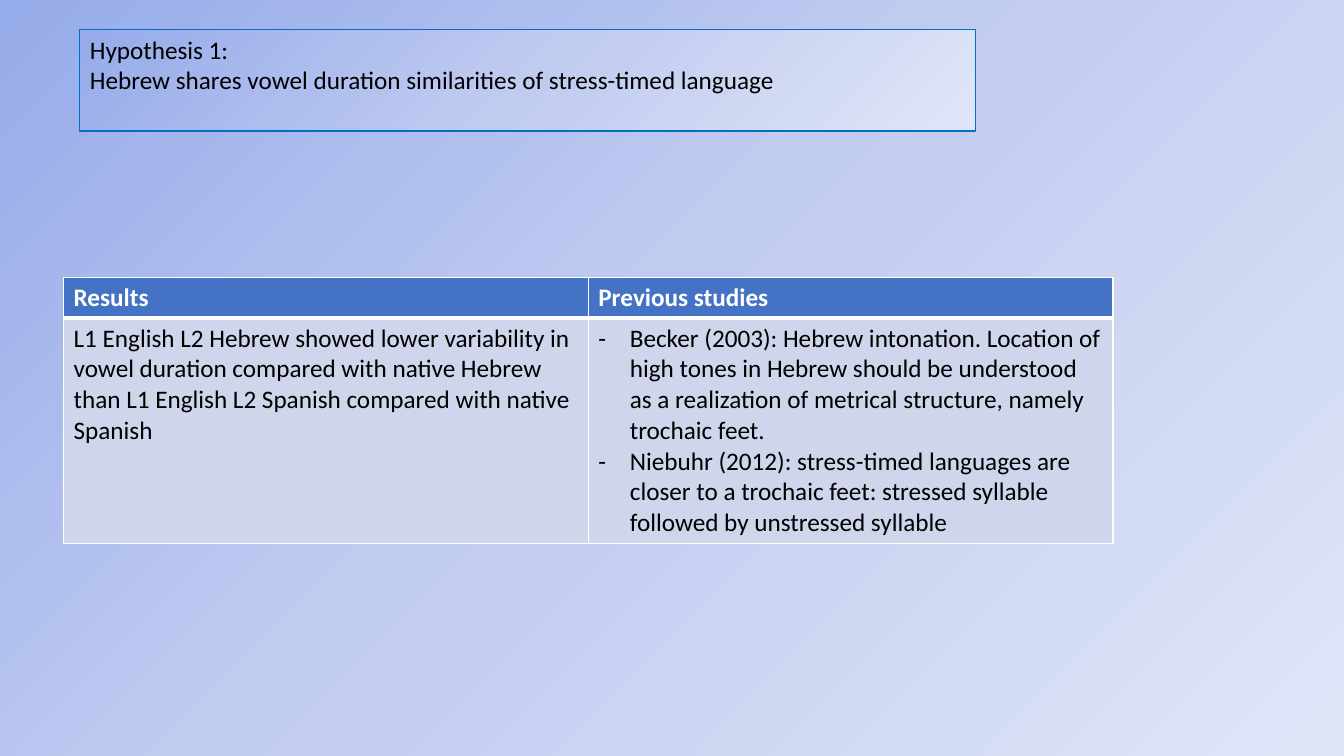
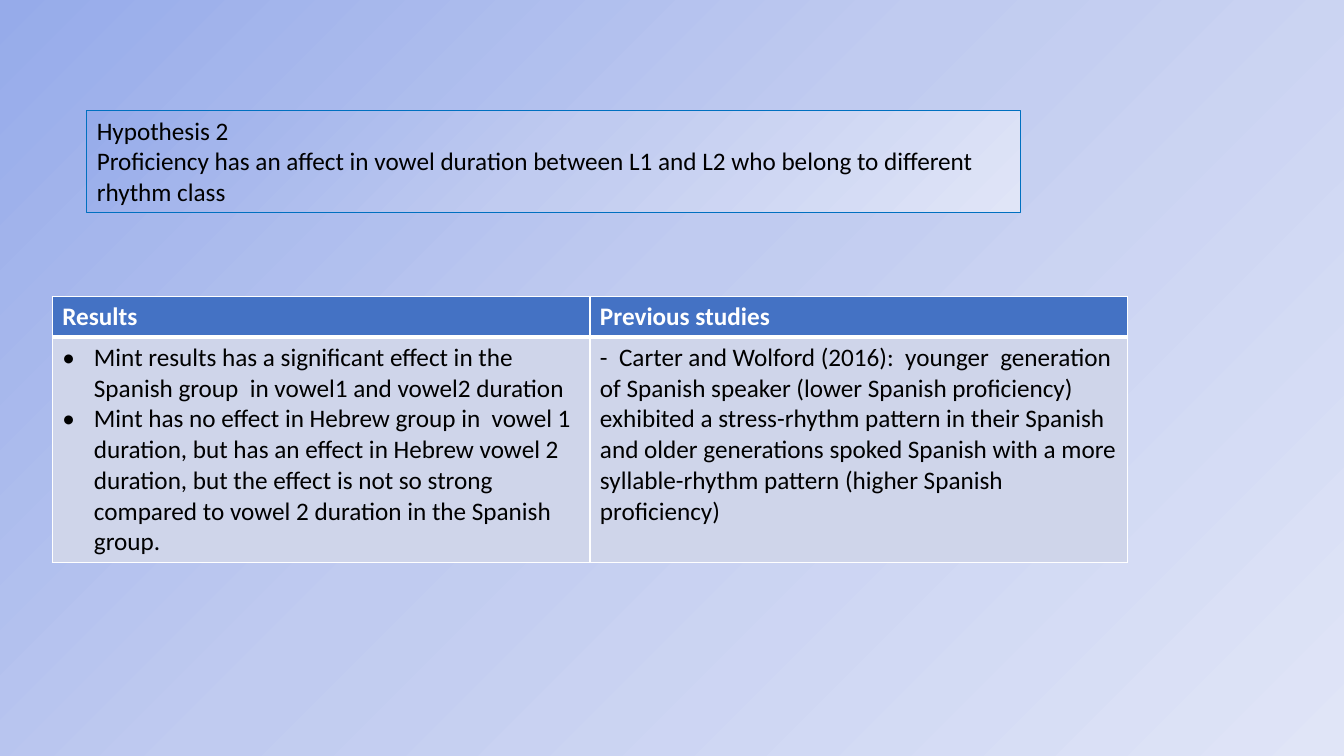
from copy import deepcopy

from lxml.etree import SubElement
from pptx import Presentation
from pptx.dml.color import RGBColor
from pptx.enum.text import MSO_ANCHOR, MSO_AUTO_SIZE, PP_ALIGN
from pptx.oxml.ns import qn
from pptx.util import Pt

COLORS = {
    "gradient_start": "96ABEA",
    "gradient_middle": "C0CBF0",
    "gradient_end": "E0E5F7",
    "outline": "0070C0",
    "header": "4472C4",
    "body": "CFD5EA",
    "white": "FFFFFF",
    "black": "000000",
}
FONT = "Calibri"
TEXT_SIZE = 18
INDENT = 22.5
HEADER_HEIGHT = 29.2
BODY_HEIGHT = 158.7
HEADINGS = ("Results", "Previous studies")

# Boxes are (left, top, width, height); tables are (left, top, width).
# Each body cell is (bullet, paragraphs).
SLIDES = [
    {
        "title_box": (57, 20.9, 640, 72.7),
        "title": [
            "Hypothesis 1:",
            "Hebrew shares vowel duration similarities of stress-timed language",
        ],
        "table_box": (45.4, 198, 749.6),
        "cells": [
            ("", [
                "L1 English L2 Hebrew showed lower variability in vowel duration "
                "compared with native Hebrew than L1 English L2 Spanish compared "
                "with native Spanish",
            ]),
            ("-", [
                "Becker (2003): Hebrew intonation. Location of high tones in Hebrew "
                "should be understood as a realization of metrical structure, "
                "namely trochaic feet.",
                "Niebuhr (2012): stress-timed languages are closer to a trochaic "
                "feet: stressed syllable followed by unstressed syllable",
            ]),
        ],
    },
    {
        "title_box": (61.9, 78.8, 667, 72.7),
        "title": [
            "Hypothesis 2",
            "Proficiency has an affect in vowel duration between L1 and L2 who "
            "belong to different rhythm class",
        ],
        "table_box": (37.4, 211.7, 768),
        "cells": [
            ("•", [
                "Mint results has a significant effect in the Spanish group  in "
                "vowel1 and vowel2 duration",
                "Mint has no effect in Hebrew group in  vowel 1 duration, but has an "
                "effect in Hebrew vowel 2 duration, but the effect is not so strong "
                "compared to vowel 2 duration in the Spanish group.",
            ]),
            ("", [
                "-  Carter and Wolford (2016):  younger  generation of Spanish "
                "speaker (lower Spanish proficiency) exhibited a stress-rhythm "
                "pattern in their Spanish and older generations spoked Spanish with "
                "a more syllable-rhythm pattern (higher Spanish proficiency)",
            ]),
        ],
    },
]


def color(name):
    return RGBColor.from_string(COLORS[name])


def paint_gradient(fill, element, middle):
    """Fill with the diagonal three-stop gradient, its middle stop at the given share."""
    fill.gradient()
    fill.gradient_angle = 315
    stop_list = next(element.iter(qn("a:gsLst")))
    stop_list.insert(1, deepcopy(stop_list[0]))
    stops = zip(fill.gradient_stops, (0, middle, 1), ("start", "middle", "end"))
    for stop, position, name in stops:
        stop.position = position
        stop.color.rgb = color(f"gradient_{name}")


def write_paragraphs(frame, texts, text_color, bold=False, bullet=""):
    frame.text = "\n".join(texts)
    for para in frame.paragraphs:
        para.alignment = PP_ALIGN.LEFT
        if bullet:
            properties = para._p.get_or_add_pPr()
            properties.set("marL", str(Pt(INDENT)))
            properties.set("indent", str(-Pt(INDENT)))
            SubElement(properties, qn("a:buFont"), typeface=FONT)
            SubElement(properties, qn("a:buChar"), char=bullet)
        para.font.name = FONT
        para.font.size = Pt(TEXT_SIZE)
        para.font.bold = bold
        para.font.color.rgb = color(text_color)


def paint_cell(cell, fill_color, widths):
    """Fill a cell and draw its white borders; widths maps side letters to points."""
    properties = cell._tc.get_or_add_tcPr()
    for side, width in widths.items():
        border = SubElement(properties, qn(f"a:ln{side}"), w=str(Pt(width)))
        paint = SubElement(border, qn("a:solidFill"))
        SubElement(paint, qn("a:srgbClr"), val=COLORS["white"])
    cell.fill.solid()
    cell.fill.fore_color.rgb = color(fill_color)


def place_hypothesis(page, box, lines):
    title = page.shapes.title
    title.left, title.top, title.width, title.height = map(Pt, box)
    paint_gradient(title.fill, title.element, 0.5)
    title.line.color.rgb = color("outline")
    title.line.width = Pt(0.75)
    frame = title.text_frame
    frame.word_wrap = True
    frame.auto_size = MSO_AUTO_SIZE.NONE
    frame.vertical_anchor = MSO_ANCHOR.TOP
    write_paragraphs(frame, lines, "black")


def place_findings(page, box, cells):
    left, top, width = box
    height = HEADER_HEIGHT + BODY_HEIGHT
    table = page.shapes.add_table(
        2, len(cells), Pt(left), Pt(top), Pt(width), Pt(height)
    ).table
    table.horz_banding = False
    table.rows[0].height = Pt(HEADER_HEIGHT)
    table.rows[1].height = Pt(BODY_HEIGHT)
    for index, (heading, (bullet, texts)) in enumerate(zip(HEADINGS, cells)):
        table.columns[index].width = Pt(width / len(cells))
        header, body = table.cell(0, index), table.cell(1, index)
        write_paragraphs(header.text_frame, [heading], "white", bold=True)
        write_paragraphs(body.text_frame, texts, "black", bullet=bullet)
        paint_cell(header, "header", {"L": 1, "R": 1, "T": 1, "B": 3})
        paint_cell(body, "body", {"L": 1, "R": 1, "T": 3, "B": 1})


def prepare_master(master):
    """Set the background and title size that all slides share."""
    paint_gradient(master.background.fill, master.element, 0.45)
    title_style = next(master.element.iter(qn("p:titleStyle")))
    next(title_style.iter(qn("a:defRPr"))).set("sz", str(TEXT_SIZE * 100))


def main():
    deck = Presentation()
    deck.slide_width, deck.slide_height = Pt(960), Pt(540)
    prepare_master(deck.slide_master)
    title_only = deck.slide_layouts[5]
    for content in SLIDES:
        page = deck.slides.add_slide(title_only)
        place_hypothesis(page, content["title_box"], content["title"])
        place_findings(page, content["table_box"], content["cells"])
    deck.save("out.pptx")


if __name__ == "__main__":
    main()
